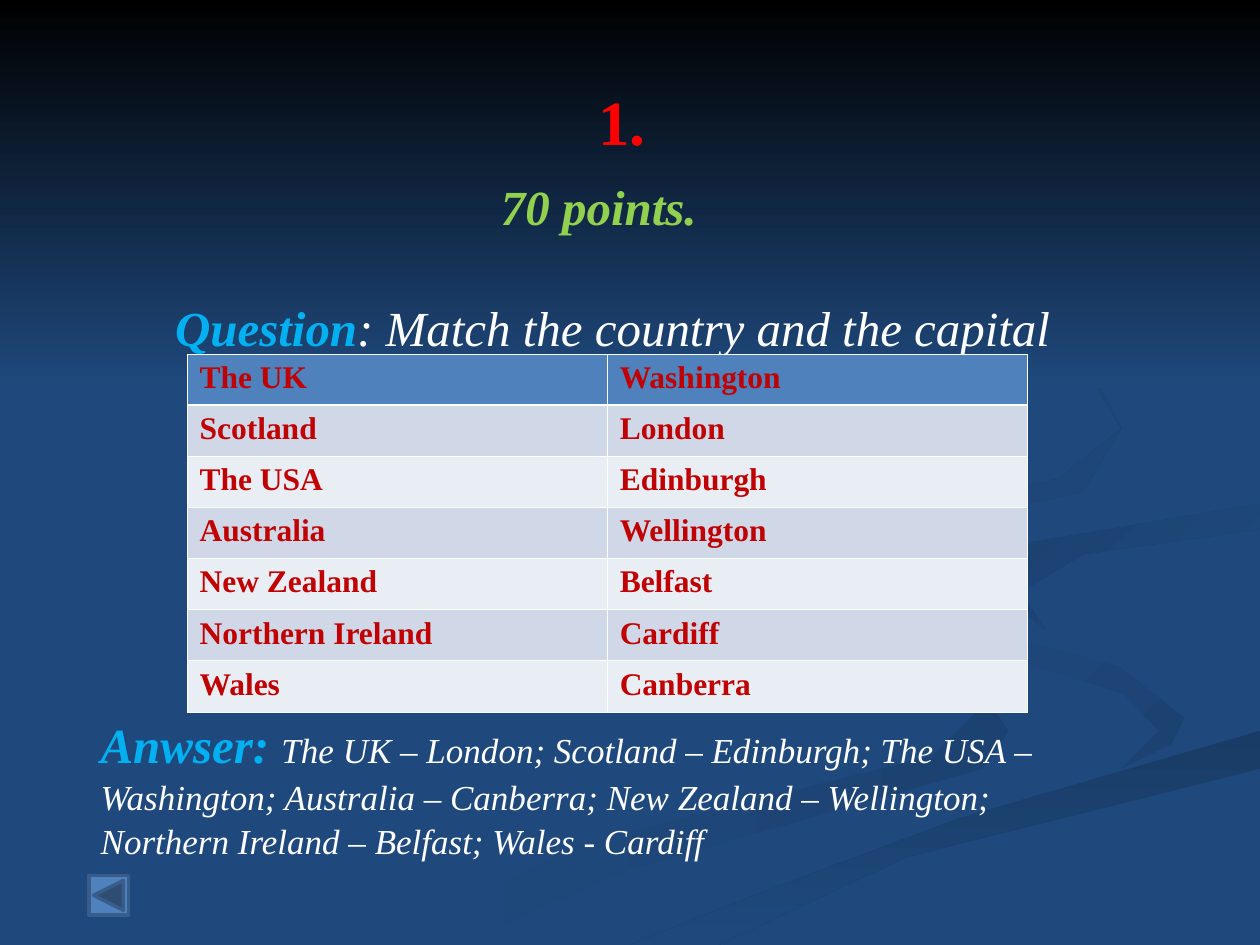
from lxml.etree import SubElement
from pptx import Presentation
from pptx.dml.color import RGBColor
from pptx.enum.shapes import MSO_SHAPE as Shape
from pptx.enum.text import MSO_ANCHOR as Anchor, PP_ALIGN as Align
from pptx.oxml.ns import qn
from pptx.util import Cm, Pt

FONT = "Times New Roman"
NAVY, WHITE, CYAN, BLUE = "1F497D", "FFFFFF", "00B0F0", "4F81BD"
BANDS = "D0D8E8", "E9EDF4"
THIN, THICK = 0.45, 1.47
LINE = 33.8
GRID = Cm(0.254)

PAIRS = [
    ("The UK", "Washington"),
    ("Scotland", "London"),
    ("The USA", "Edinburgh"),
    ("Australia", "Wellington"),
    ("New Zealand", "Belfast"),
    ("Northern Ireland", "Cardiff"),
    ("Wales", "Canberra"),
]
ANSWER = (
    "The UK – London; Scotland – Edinburgh; The USA – Washington; "
    "Australia – Canberra; New Zealand – Wellington; "
    "Northern Ireland – Belfast; Wales - Cardiff"
)

SWIRLS = [
    (NAVY, "1C4272", 0, [
        (78, 55), (57, 46), (78, 56), (74, 60), (46, 67), (30, 75), (36, 75),
        (50, 69), (78, 61), (80, 58)]),
    (NAVY, "1C4272", 45, [
        (94, 57), (89, 53), (75, 49), (72, 46), (76, 51), (89, 55), (92, 58),
        (89, 61), (93, 59)]),
    ("193C66", NAVY, 90, [
        (50, 75), (57, 75), (72, 68), (100, 61), (100, 58), (76, 65), (60, 71)]),
    ("1B406E", NAVY, 45, [
        (78, 46), (83, 50), (81, 47), (86, 44), (100, 42), (100, 40), (82, 43)]),
    ("1A3E6A", NAVY, 45, [
        (68, 43), (86, 39), (89, 34), (86, 28), (76, 23), (86, 29), (89, 34),
        (84, 38), (62, 43), (58, 46), (62, 50), (60, 46)]),
]


def color(value):
    return RGBColor.from_string(value)


def blend(shape, first, last, angle):
    shape.shadow.inherit = False
    shape.line.fill.background()
    shape.fill.gradient()
    shape.fill.gradient_angle = (360 - angle) % 360
    for stop, value in zip(shape.fill.gradient_stops, (first, last)):
        stop.color.rgb = color(value)


def write(para, text, size=28, fill=WHITE, bold=False, italic=False):
    span = para.add_run()
    span.text = text
    span.font.name = FONT
    span.font.size = Pt(size)
    span.font.bold = bold
    span.font.italic = italic
    span.font.color.rgb = color(fill)


def add_box(page, left, top, width, height):
    frame = page.shapes.add_textbox(Cm(left), Cm(top), Cm(width), Cm(height)).text_frame
    frame.word_wrap = True
    return frame


def add_backdrop(page):
    page.background.fill.solid()
    page.background.fill.fore_color.rgb = color(NAVY)
    for first, last, angle, points in SWIRLS:
        outline = page.shapes.build_freeform(*points[0], scale=GRID)
        outline.add_line_segments(points[1:], close=True)
        blend(outline.convert_to_shape(), first, last, angle)
    band = page.shapes.add_shape(Shape.RECTANGLE, 0, 0, Cm(25.4), Cm(7.82))
    blend(band, "000000", NAVY, 90)


def add_texts(page):
    title = add_box(page, 1.27, 0.84, 22.86, 3.18)
    title.vertical_anchor = Anchor.MIDDLE
    heading = title.paragraphs[0]
    heading.alignment = Align.CENTER
    write(heading, "1. ", size=36, fill="FF0000", bold=True)

    body = add_box(page, 1.78, 3.38, 20.83, 15.6)
    points, question, answer = body.paragraphs[0], body.add_paragraph(), body.add_paragraph()
    for para in body.paragraphs:
        para.line_spacing = 1.05
    points.alignment = Align.CENTER
    write(points, "70 points. ", fill="92D050", bold=True, italic=True)

    question.space_before = Pt(LINE)
    question._p.get_or_add_pPr().set("marL", str(Cm(1.5)))
    write(question, "Question", fill=CYAN, bold=True, italic=True)
    write(question, ": Match the country and the capital", italic=True)

    answer.space_before = Pt(6 * LINE)
    write(answer, "Anwser: ", fill=CYAN, bold=True, italic=True)
    write(answer, ANSWER, size=20, italic=True)


def add_button(page):
    button = page.shapes.add_shape(
        Shape.ACTION_BUTTON_BACK_OR_PREVIOUS, Cm(1.79), Cm(17.65), Cm(0.8), Cm(0.8))
    button.shadow.inherit = False
    button.fill.solid()
    button.fill.fore_color.rgb = color(BLUE)
    button.line.color.rgb = color("385D8A")
    button.line.width = Pt(2)


def set_borders(cell, row):
    widths = {
        "a:lnL": THIN,
        "a:lnR": THIN,
        "a:lnT": THICK if row == 1 else THIN,
        "a:lnB": THICK if row == 0 else THIN,
    }
    props = cell._tc.get_or_add_tcPr()
    for tag, width in widths.items():
        edge = SubElement(props, qn(tag), w=str(Pt(width)))
        SubElement(SubElement(edge, qn("a:solidFill")), qn("a:srgbClr"), val=WHITE)


def add_pairs(page):
    row_height, column_width = 1.03, 8.47
    table = page.shapes.add_table(
        len(PAIRS), 2, Cm(3.77), Cm(7.14),
        Cm(2 * column_width), Cm(len(PAIRS) * row_height)).table
    for row, pair in enumerate(PAIRS):
        table.rows[row].height = Cm(row_height)
        for column, text in enumerate(pair):
            cell = table.cell(row, column)
            set_borders(cell, row)
            cell.fill.solid()
            cell.fill.fore_color.rgb = color(BANDS[(row - 1) % 2] if row else BLUE)
            write(cell.text_frame.paragraphs[0], text, size=18, fill="C00000", bold=True)


def main():
    deck = Presentation()
    deck.slide_width, deck.slide_height = Cm(25.4), Cm(19.05)
    page = deck.slides.add_slide(deck.slide_layouts[6])
    add_backdrop(page)
    add_texts(page)
    add_button(page)
    add_pairs(page)
    deck.save("out.pptx")


if __name__ == "__main__":
    main()
